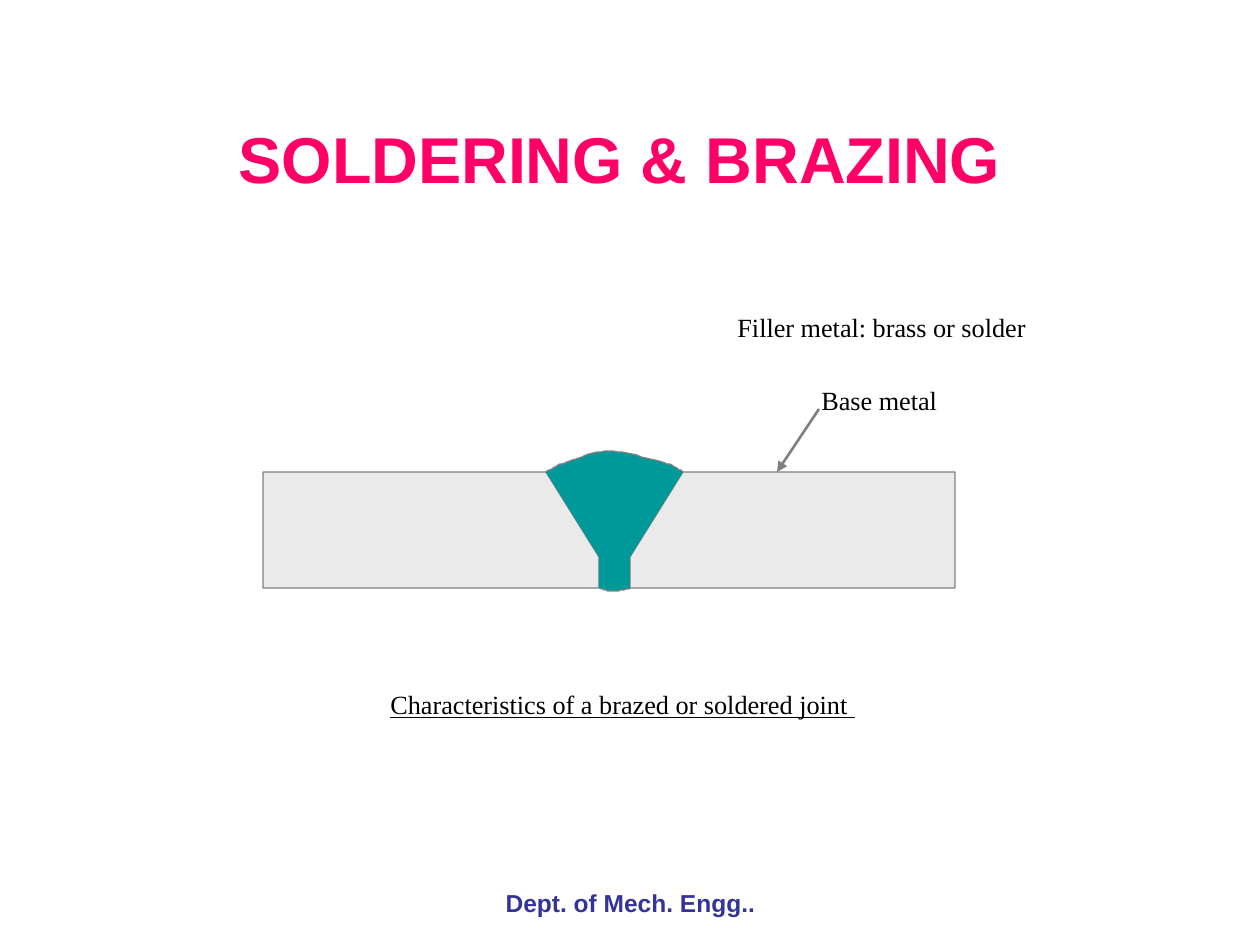
from pptx import Presentation
from pptx.dml.color import RGBColor as RGB
from pptx.enum.shapes import MSO_CONNECTOR as LINE
from pptx.enum.text import PP_ALIGN as AL
from pptx.oxml.ns import qn
from pptx.util import Pt
from lxml.etree import SubElement as Sub

PX = 914400 / 126  # EMU in one px
PINK, NAVY, BLACK = RGB(255, 0, 102), RGB(51, 51, 153), RGB(0, 0, 0)
GRAY, PALE, TEAL = RGB(128, 128, 128), RGB(234, 234, 234), RGB(0, 153, 153)

HEAD = dict(name="Arial", size=Pt(37), bold=True)
FOOT = dict(name="Arial", size=Pt(14), bold=True)
BODY = dict(name="Times New Roman", size=Pt(15))
NOTE = dict(BODY, underline=True)

# words, box (left, top, width, height), top inset, font, colour, paragraph format
TEXTS = [
    ("SOLDERING & BRAZING", (63, 126, 1113, 73), 14, HEAD, PINK,
     dict(alignment=AL.CENTER, line_spacing=0.7)),
    ("Filler metal: brass or solder", (725, 305, 347, 44), 6, BODY, BLACK, {}),
    ("Base metal", (809, 378, 305, 44), 6, BODY, BLACK, {}),
    ("Characteristics of a brazed or soldered joint ", (378, 682, 525, 44), 6,
     NOTE, BLACK, {}),
    ("Dept. of Mech. Engg..", (431, 882, 399, 44), 6, FOOT, NAVY,
     dict(alignment=AL.CENTER)),
]

# joint levels and edges
TOP, NECK, BASE = 472, 557, 588
LEFT, RIGHT = 263, 955
V1, V2, N1, N2 = 546, 683, 599, 630

# cubic curves: start point, then two handles and an end for each piece
CROWN = [(V1, TOP), (552, 469), (557, 465), (567, 462),
         (577, 459), (593, 451), (609, 451), (625, 451), (649, 459),
         (662, 462), (674, 465), (678, 469), (V2, TOP)]
ROOT = [(N1, BASE), (601, 588), (604, 590), (606, 590), (607, 591),
        (609, 591), (611, 591), (619, 591), (622, 590), (629, 589),
        (N2, 588), (N2, 588), (N2, BASE)]


def curve(pts, n=12):
    out = [pts[0]]
    for i in range(0, len(pts) - 1, 3):
        a, b, c, d = pts[i:i + 4]
        for t in (k / n for k in range(1, n + 1)):
            u = 1 - t
            out.append(tuple(u**3 * p + 3 * u * u * t * q + 3 * u * t * t * r
                             + t**3 * s for p, q, r, s in zip(a, b, c, d)))
    return out


# points, closed, fill, outlined
PARTS = [
    ([(LEFT, TOP), (V1, TOP), (N1, NECK), (N1, BASE), (LEFT, BASE)],
     True, PALE, True),
    ([(N2, BASE), (N2, NECK), (V2, TOP), (RIGHT, TOP), (RIGHT, BASE)],
     True, PALE, True),
    (curve(CROWN), False, TEAL, True),
    (curve(ROOT), False, TEAL, True),
    ([(V1, TOP), (V2, TOP), (N2, NECK), (N2, BASE), (N1, BASE), (N1, NECK)],
     True, TEAL, False),
]
ARROW = (819, 409, 777, 472)


def emu(*vals):
    return [round(v * PX) for v in vals]


def put(obj, vals):
    for key, val in vals.items():
        setattr(obj, key, val)


deck = Presentation()
deck.slide_width, deck.slide_height = emu(1260, 945)
shapes = deck.slides.add_slide(deck.slide_layouts[6]).shapes

# arrow to the base metal
arrow = shapes.add_connector(LINE.STRAIGHT, *emu(*ARROW))
arrow.line.color.rgb = GRAY
arrow.line.width = Pt(1.5)
Sub(arrow.line._get_or_add_ln(), qn("a:tailEnd"), type="triangle")
Sub(arrow._element.spPr, qn("a:effectLst"))

# plates and filler
for pts, shut, fill, edge in PARTS:
    pen = shapes.build_freeform(*pts[0], scale=PX)
    pen.add_line_segments(pts[1:], close=shut)
    part = pen.convert_to_shape()
    part.shadow.inherit = False
    part.fill.solid()
    part.fill.fore_color.rgb = fill
    if edge:
        part.line.color.rgb = GRAY
        part.line.width = Pt(0.75)
    else:
        part.line.fill.background()

# title, labels and footer
for words, box, inset, font, color, form in TEXTS:
    frame = shapes.add_textbox(*emu(*box)).text_frame
    put(frame, dict(word_wrap=True, margin_top=emu(inset)[0]))
    para = frame.paragraphs[0]
    put(para, form)
    run = para.add_run()
    run.text = words
    put(run.font, font)
    run.font.color.rgb = color

deck.save("out.pptx")
